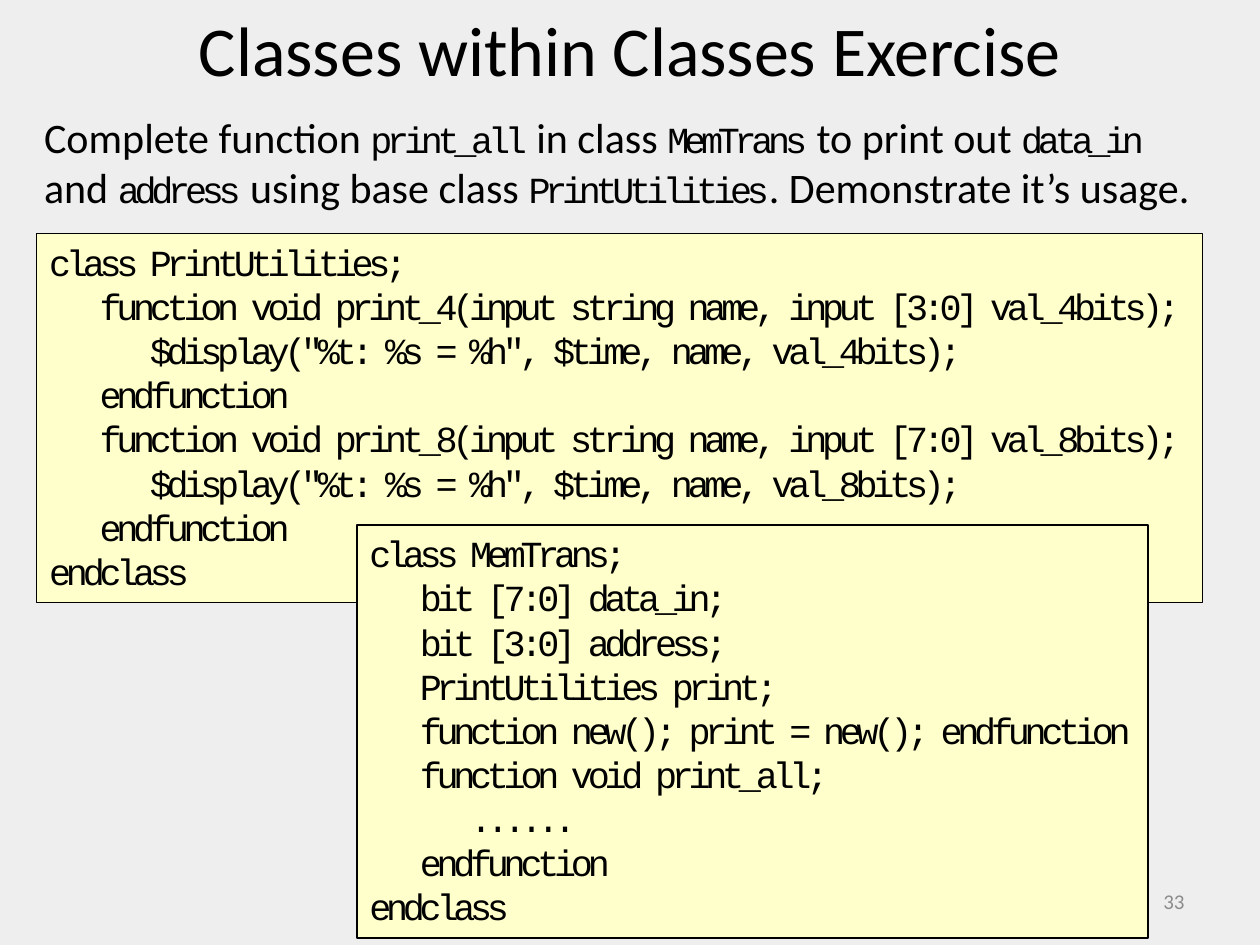
import pptx
import pptx.dml.color
import pptx.enum.shapes
import pptx.enum.text
import pptx.util

Pt = pptx.util.Pt
ALIGN = pptx.enum.text.PP_ALIGN
ANCHOR = pptx.enum.text.MSO_ANCHOR

COLORS = {"background": "EEEEEE", "text": "000000", "code_fill": "FFFFCC", "number": "8C8C8C"}

PRINT_UTILITIES = [
    (0, "class PrintUtilities;"),
    (1, "function void print_4(input string name, input [3:0] val_4bits);"),
    (2, '$display("%t: %s = %h", $time, name, val_4bits);'),
    (1, "endfunction"),
    (1, "function void print_8(input string name, input [7:0] val_8bits);"),
    (2, '$display("%t: %s = %h", $time, name, val_8bits);'),
    (1, "endfunction"),
    (0, "endclass"),
]
MEM_TRANS = [
    (0, "class MemTrans;"),
    (1, "bit [7:0] data_in;"),
    (1, "bit [3:0] address;"),
    (1, "PrintUtilities print;"),
    (1, "function new(); print = new(); endfunction"),
    (1, "function void print_all;"),
    (2, "......"),
    (1, "endfunction"),
    (0, "endclass"),
]
TASK = [
    ("Complete function ", False), ("print_all", True),
    (" in class ", False), ("MemTrans", True),
    (" to print out ", False), ("data_in", True),
    (" and ", False), ("address", True),
    (" using base class ", False), ("PrintUtilities", True),
    (". Demonstrate it’s usage.", False),
]


def rgb(name):
    return pptx.dml.color.RGBColor.from_string(COLORS[name])


def add_run(paragraph, text, size=24, font="Calibri", color="text", spacing=0):
    run = paragraph.add_run()
    run.text = text
    run.font.size = Pt(size)
    run.font.name = font
    run.font.color.rgb = rgb(color)
    if spacing:
        run.font._element.set("spc", str(spacing * 100))


class SlideBuilder:
    code_format = {"size": 21, "font": "Courier New", "spacing": -3}
    code_indent = 28.8
    code_line = 25.2

    def __init__(self, presentation):
        self.slide = presentation.slides.add_slide(presentation.slide_layouts[1])
        fill = self.slide.background.fill
        fill.solid()
        fill.fore_color.rgb = rgb("background")

    def prepare(self, shape, box, anchor=ANCHOR.TOP, wrap=True):
        shape.left, shape.top, shape.width, shape.height = map(Pt, box)
        frame = shape.text_frame
        frame.word_wrap = wrap
        frame.auto_size = pptx.enum.text.MSO_AUTO_SIZE.NONE
        frame.vertical_anchor = anchor
        return frame

    def title(self, text, box):
        paragraph = self.prepare(self.slide.shapes.title, box).paragraphs[0]
        paragraph.alignment = ALIGN.CENTER
        add_run(paragraph, text, size=40)

    def body(self, parts, box):
        paragraph = self.prepare(self.slide.placeholders[1], box).paragraphs[0]
        paragraph.space_before = Pt(0)
        properties = paragraph._p.get_or_add_pPr()
        properties.set("marL", "0")
        properties.set("indent", "0")
        properties.append(pptx.oxml.parse_xml(
            '<a:buNone xmlns:a="http://schemas.openxmlformats.org/drawingml/2006/main"/>'))
        for text, is_code in parts:
            add_run(paragraph, text, **(self.code_format if is_code else {}))

    def code(self, lines, box):
        shape = self.slide.shapes.add_shape(
            pptx.enum.shapes.MSO_SHAPE.RECTANGLE, *map(Pt, box))
        shape.shadow.inherit = False
        shape.fill.solid()
        shape.fill.fore_color.rgb = rgb("code_fill")
        shape.line.color.rgb = rgb("text")
        shape.line.width = Pt(0.75)
        frame = self.prepare(shape, box, wrap=False)
        for index, (level, text) in enumerate(lines):
            paragraph = frame.add_paragraph() if index else frame.paragraphs[0]
            paragraph.alignment = ALIGN.LEFT
            paragraph.line_spacing = Pt(self.code_line)
            paragraph._p.get_or_add_pPr().set("marL", str(Pt(level * self.code_indent)))
            add_run(paragraph, text, **self.code_format)

    def number(self, text, box):
        shape = self.slide.shapes.add_textbox(*map(Pt, box))
        paragraph = self.prepare(shape, box, anchor=ANCHOR.MIDDLE).paragraphs[0]
        paragraph.alignment = ALIGN.RIGHT
        add_run(paragraph, text, size=12, color="number")


def main():
    presentation = pptx.Presentation()
    presentation.slide_width, presentation.slide_height = Pt(720), Pt(540)
    builder = SlideBuilder(presentation)
    builder.title("Classes within Classes Exercise", (0, 0, 720, 55.5))
    builder.number("33", (516, 500.5, 168, 28.75))
    builder.body(TASK, (18, 60, 672, 65.5))
    builder.code(PRINT_UTILITIES, (21, 133.5, 666, 211))
    builder.code(MEM_TRANS, (204, 300, 452, 236))
    presentation.save("out.pptx")


if __name__ == "__main__":
    main()
